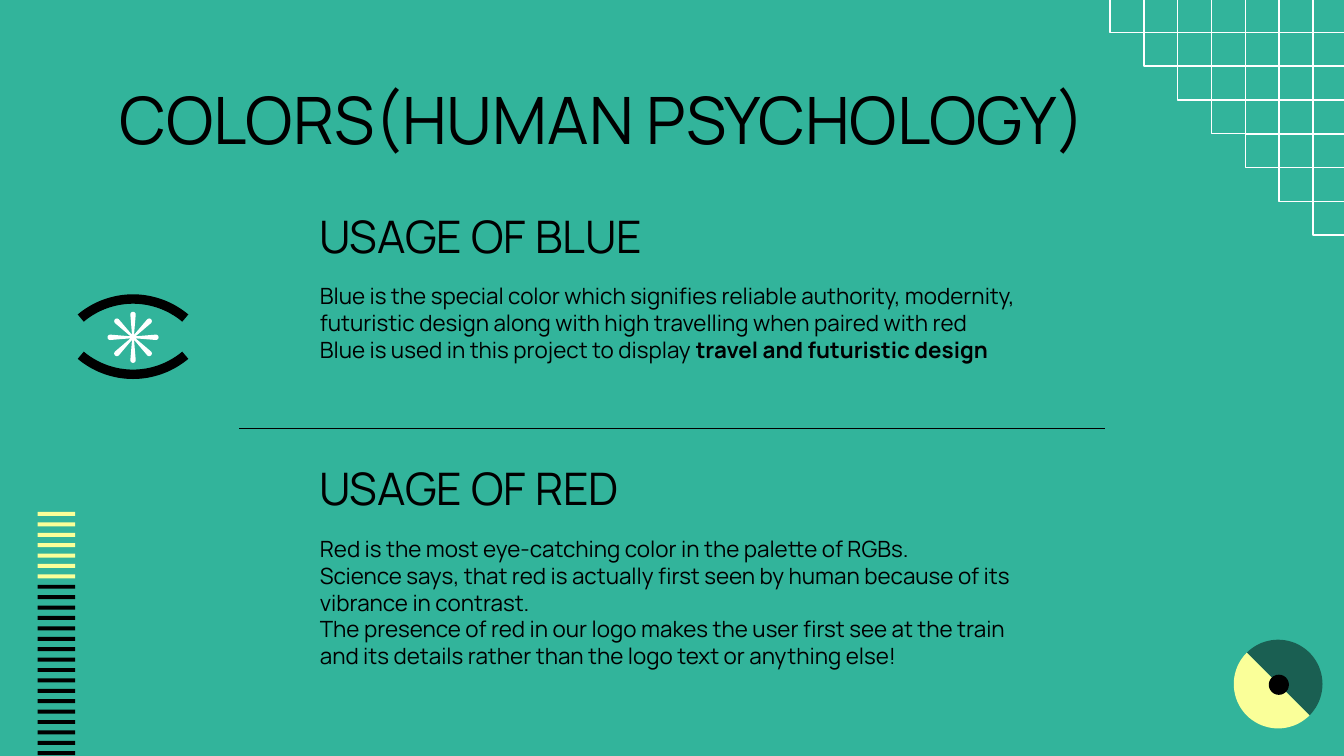
"""Build the slide on the psychology of blue and red."""
from dataclasses import dataclass
from math import cos, radians, sin

from lxml import etree
from pptx import Presentation
from pptx.dml.color import RGBColor
from pptx.enum.shapes import MSO_CONNECTOR, MSO_SHAPE
from pptx.enum.text import MSO_ANCHOR, MSO_AUTO_SIZE, PP_ALIGN
from pptx.oxml.ns import qn
from pptx.util import Inches, Pt

GREEN = RGBColor(0x32, 0xB4, 0x9B)
YELLOW = RGBColor(0xFA, 0xFF, 0x99)
BLACK = RGBColor(0, 0, 0)
WHITE = RGBColor(0xFF, 0xFF, 0xFF)
FONT = "Manrope"
RECTANGLE = MSO_SHAPE.RECTANGLE
OVAL = MSO_SHAPE.OVAL
STRAIGHT = MSO_CONNECTOR.STRAIGHT
TOP = MSO_ANCHOR.TOP
BOTTOM = MSO_ANCHOR.BOTTOM
LEFT = PP_ALIGN.LEFT
NO_AUTOFIT = MSO_AUTO_SIZE.NONE

SLIDE_WIDTH = 10
SLIDE_HEIGHT = SLIDE_WIDTH * 9 / 16
GRID_COUNT, GRID_LEFT, GRID_TOP = 7, 8.26, -0.01
GRID_STEP = (10.02 - GRID_LEFT) / GRID_COUNT
BAR_COUNT, YELLOW_BARS, BAR_TOP, LAST_BAR_TOP = 24, 7, 3.81, 5.59
BAR_STEP = (LAST_BAR_TOP - BAR_TOP) / (BAR_COUNT - 1)

Point = tuple[float, float]
Run = tuple[str, bool]


@dataclass(frozen=True)
class TextBlock:
    index: int
    box: tuple[float, float, float, float]
    size: int
    anchor: MSO_ANCHOR
    paragraphs: list[list[Run]]


@dataclass(frozen=True)
class Lid:
    center_y: float
    middle: float


TEXT_BLOCKS = [
    TextBlock(0, (0.79, 0.49, 8.43, 0.63), 35, TOP, [[("COLORS(HUMAN PSYCHOLOGY)", False)]]),
    TextBlock(1, (2.28, 1.44, 5.45, 0.61), 24, BOTTOM, [[("USAGE OF BLUE", False)]]),
    TextBlock(2, (2.28, 2, 5.62, 1.01), 12, TOP, [
        [("Blue is the special color which signifies reliable authority, modernity, "
          "futuristic design along with high travelling when paired with red", False)],
        [("Blue is used in this project to display ", False),
         ("travel and futuristic design", True)],
    ]),
    TextBlock(3, (2.28, 3.32, 5.45, 0.61), 24, BOTTOM, [[("USAGE OF RED", False)]]),
    TextBlock(4, (2.28, 3.88, 5.45, 1.01), 12, TOP, [
        [("Red is the most eye-catching color in the palette of RGBs.", False)],
        [("Science says, that red is actually first seen by human because of its "
          "vibrance in contrast.", False)],
        [("The presence of red in our logo makes the user first see at the train and "
          "its details rather than the logo text or anything else!", False)],
    ]),
]
LIDS = [Lid(2.83, 270), Lid(2.18, 90)]


def fill_text(slide, block: TextBlock) -> None:
    """Place one placeholder and write its paragraphs."""
    shape = slide.placeholders[block.index]
    shape.left, shape.top, shape.width, shape.height = map(Inches, block.box)
    frame = shape.text_frame
    frame.word_wrap = True
    frame.auto_size = NO_AUTOFIT
    frame.vertical_anchor = block.anchor
    frame.margin_left = frame.margin_right = Inches(0.1)
    frame.margin_top = frame.margin_bottom = Inches(0.1)
    for number, runs in enumerate(block.paragraphs):
        paragraph = frame.add_paragraph() if number else frame.paragraphs[0]
        paragraph.alignment = LEFT
        paragraph.space_before = Pt(0)
        properties = paragraph._p.get_or_add_pPr()
        properties.set("marL", "0")
        properties.set("indent", "0")
        etree.SubElement(properties, qn("a:buNone"))
        font = paragraph.font
        font.name, font.size, font.bold = FONT, Pt(block.size), False
        font.color.rgb = BLACK
        for text, bold in runs:
            run = paragraph.add_run()
            run.text = text
            if bold:
                run.font.bold = True


def paint(shape, color: RGBColor) -> None:
    """Give a shape a plain fill without line or shadow."""
    shape.shadow.inherit = False
    shape.fill.solid()
    shape.fill.fore_color.rgb = color
    shape.line.fill.background()


def arc(center: Point, radius: float, start: float, end: float, steps: int = 40) -> list[Point]:
    """Return points along an arc, with angles in degrees clockwise from the right."""
    angles = [radians(start + (end - start) * step / steps) for step in range(steps + 1)]
    return [(center[0] + radius * cos(angle), center[1] + radius * sin(angle)) for angle in angles]


def add_outline(slide, points: list[Point], color: RGBColor):
    """Draw a closed filled outline through the points."""
    first, *rest = [(Inches(x), Inches(y)) for x, y in points]
    builder = slide.shapes.build_freeform(*first)
    builder.add_line_segments(rest, close=True)
    shape = builder.convert_to_shape()
    paint(shape, color)
    return shape


def add_grid(slide) -> None:
    """Draw the stepped grid of squares in the corner."""
    for row in range(GRID_COUNT):
        for column in range(row, GRID_COUNT):
            square = slide.shapes.add_shape(
                RECTANGLE, Inches(GRID_LEFT + column * GRID_STEP),
                Inches(GRID_TOP + row * GRID_STEP), Inches(GRID_STEP), Inches(GRID_STEP))
            square.shadow.inherit = False
            square.fill.background()
            square.line.color.rgb = WHITE
            square.line.width = Pt(0.77)


def add_bars(slide) -> None:
    """Draw the ladder of yellow and black bars."""
    for number in range(BAR_COUNT):
        bar = slide.shapes.add_shape(
            RECTANGLE, Inches(0.28), Inches(BAR_TOP + number * BAR_STEP),
            Inches(0.28), Inches(0.03))
        paint(bar, YELLOW if number < YELLOW_BARS else BLACK)


def add_disc(slide) -> None:
    """Draw the two-coloured disc with its hub."""
    center = (9.51, 5.09)
    shade = add_outline(slide, arc(center, 0.33, 225, 405), BLACK)
    color = shade._element.spPr.find(qn("a:solidFill"))[0]
    etree.SubElement(color, qn("a:alpha"), val="47000")
    add_outline(slide, arc(center, 0.33, 45, 225), YELLOW)
    hub = slide.shapes.add_shape(OVAL, Inches(9.44), Inches(5.02), Inches(0.15), Inches(0.15))
    paint(hub, BLACK)


def add_eye(slide) -> None:
    """Draw the eye: a star of eight spokes between two lids."""
    center = (0.99, 2.51)
    star = []
    for angle in range(0, 360, 45):
        tip = arc(center, 0.17, angle, angle, 1)[0]
        star += arc(tip, 0.02, angle - 90, angle + 90, 8)
        star += arc(center, 0.02, angle + 22.5, angle + 22.5, 1)[:1]
    add_outline(slide, star, WHITE)
    for lid in LIDS:
        middle = (center[0], lid.center_y)
        outer = arc(middle, 0.64, lid.middle - 40, lid.middle + 40)
        inner = arc(middle, 0.57, lid.middle + 40, lid.middle - 40)
        add_outline(slide, outer + inner, BLACK)


def add_divider(slide) -> None:
    """Draw the rule between the two sections."""
    divider = slide.shapes.add_connector(
        STRAIGHT, Inches(8.22), Inches(3.19), Inches(1.78), Inches(3.19))
    divider.line.color.rgb = BLACK
    divider.line.width = Pt(0.75)
    etree.SubElement(divider._element.spPr, qn("a:effectLst"))


def main() -> None:
    """Build and save the presentation."""
    presentation = Presentation()
    presentation.slide_width = Inches(SLIDE_WIDTH)
    presentation.slide_height = Inches(SLIDE_HEIGHT)
    slide = presentation.slides.add_slide(presentation.slide_layouts.get_by_name("Comparison"))
    slide.background.fill.solid()
    slide.background.fill.fore_color.rgb = GREEN
    add_grid(slide)
    add_disc(slide)
    add_bars(slide)
    for block in TEXT_BLOCKS:
        fill_text(slide, block)
    add_divider(slide)
    add_eye(slide)
    presentation.save("out.pptx")


if __name__ == "__main__":
    main()
